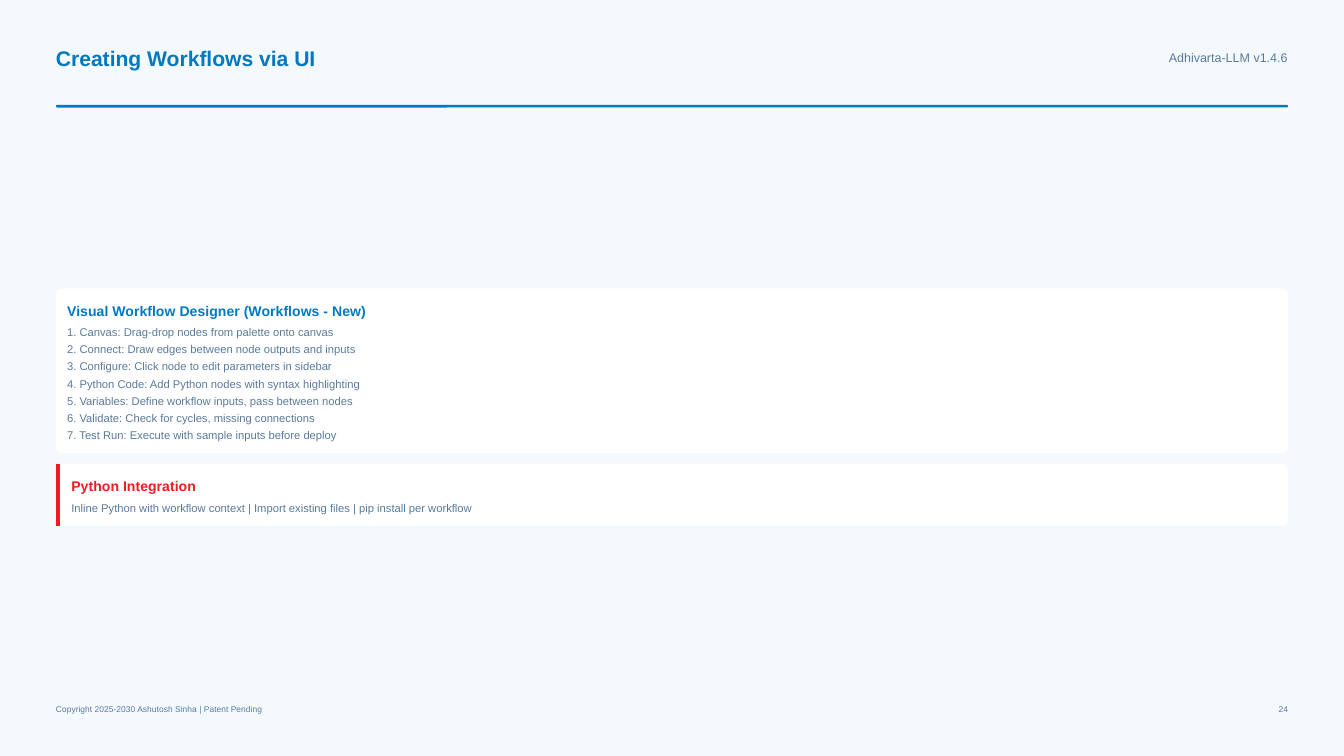
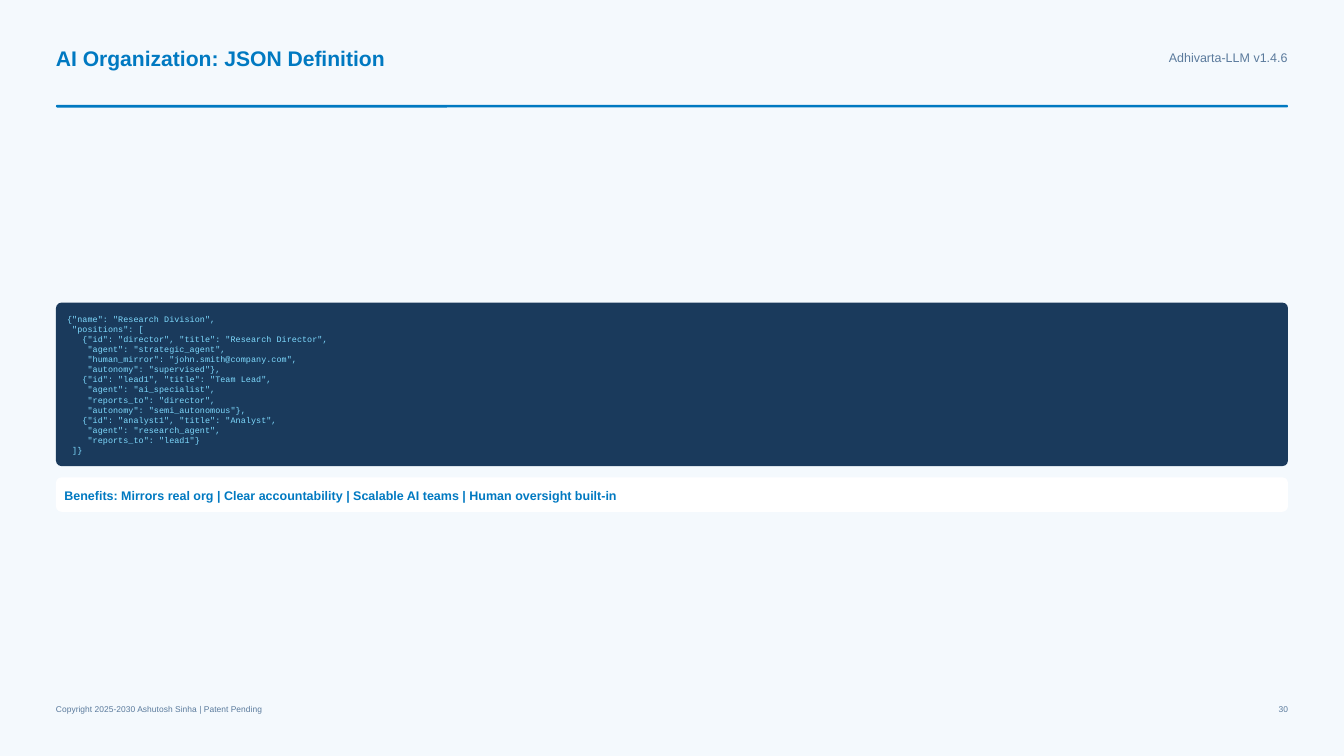
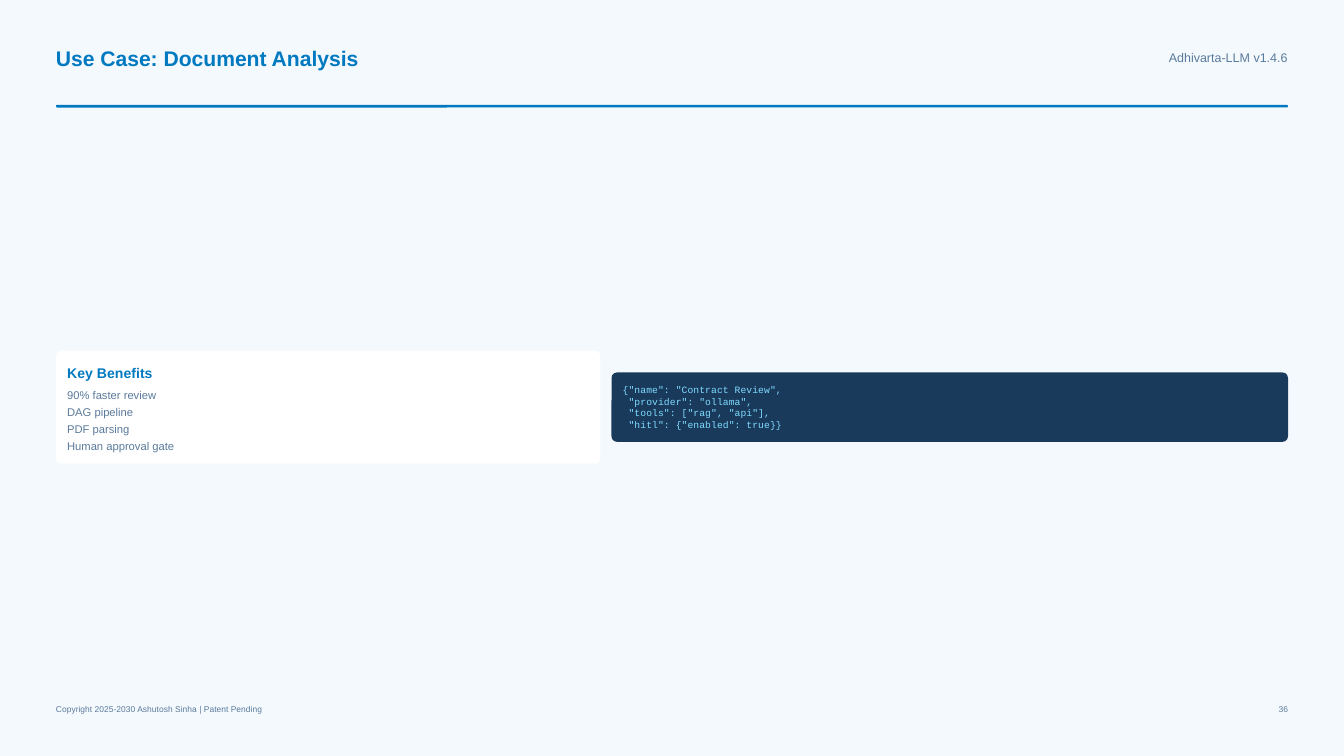
"""Build three guide slides with centred columns of cards and code panels."""
from dataclasses import dataclass

from lxml import etree
from pptx import Presentation
from pptx import util as u
from pptx.dml.color import RGBColor
from pptx.enum import shapes, text
from pptx.oxml import ns

BLUE, RED, SLATE, NAVY = "0079C1", "ED1C24", "5A7A9C", "1A3A5C"
WHITE, PALE, CYAN = "FFFFFF", "F4F9FD", "7FDBFF"
PAGE_WIDTH = 10
PAGE_HEIGHT = PAGE_WIDTH * 9 / 16
LEFT = 5 / 12
WIDTH = PAGE_WIDTH - 2 * LEFT
MIDDLE = 3.03
GAP = PAD = 1 / 12
RADIUS = 1 / 24
ACCENT = 1 / 32
NARROW = 4.05


@dataclass(frozen=True)
class Style:
    """Look of a line of text, in points."""
    size: float
    leading: float
    color: str = SLATE
    bold: bool = False
    font: str = "Arial"


@dataclass(frozen=True)
class Line:
    """One paragraph and the space above it."""
    words: str
    style: Style
    before: float = 0


@dataclass(frozen=True)
class Panel:
    """A rounded box that is as tall as its lines."""
    lines: list[Line]
    fill: str = WHITE
    pad: float = PAD
    accent: str = ""

    @property
    def height(self) -> float:
        """Height in inches."""
        points = sum(n.style.leading + n.before for n in self.lines)
        return points / 72 + 2 * self.pad


@dataclass(frozen=True)
class Column:
    """Panels stacked about the middle of the content area."""
    left: float
    width: float
    panels: list[Panel]


@dataclass(frozen=True)
class Page:
    """Title, number and columns of a slide."""
    title: str
    number: int
    columns: list[Column]


TITLE = Style(11.25, 15.75, BLUE, True)
VERSION = Style(6.75, 9.45)
NOTE = Style(6.75, 9.45, BLUE, True)
BODY = Style(6, 8.4)
FOOTER = Style(4.5, 6.3)
SMALL_CODE = Style(4.5, 5.4, CYAN, font="Courier New")
CODE = Style(5.25, 6.3, CYAN, font="Courier New")


def rgb(value: str) -> RGBColor:
    """Turn a hex string into a colour."""
    return RGBColor.from_string(value)


def card(heading: str, items: list[str], color: str = BLUE, accent: str = "") -> Panel:
    """Make a white panel with a heading and its items."""
    lines = [Line(heading, Style(7.5, 10.5, color, True))]
    lines += [Line(item, BODY, 0.75 if i else 2.25) for i, item in enumerate(items)]
    return Panel(lines, accent=accent)


def code(listing: str, style: Style) -> Panel:
    """Make a dark panel with a code listing."""
    return Panel([Line(row, style) for row in listing.splitlines()], NAVY)


def add_text(s, left: float, top: float, width: float, height: float,
             lines: list[Line], align=text.PP_ALIGN.LEFT) -> None:
    """Write lines in a text box without margins."""
    tf = s.shapes.add_textbox(*map(u.Inches, (left, top, width, height))).text_frame
    margins = dict.fromkeys(("margin_left", "margin_top", "margin_right", "margin_bottom"), 0)
    for name, value in {"word_wrap": True, **margins}.items():
        setattr(tf, name, value)
    for i, line in enumerate(lines):
        p = tf.add_paragraph() if i else tf.paragraphs[0]
        style = line.style
        spacing = {"alignment": align, "line_spacing": u.Pt(style.leading)}
        if line.before:
            spacing["space_before"] = u.Pt(line.before)
        for name, value in spacing.items():
            setattr(p, name, value)
        r = p.add_run()
        r.text = line.words
        for name, value in {"name": style.font, "size": u.Pt(style.size), "bold": style.bold}.items():
            setattr(r.font, name, value)
        r.font.color.rgb = rgb(style.color)


def add_box(s, left: float, top: float, width: float, height: float, fill: str) -> None:
    """Draw a rounded rectangle with the shared corner radius."""
    sp = s.shapes.add_shape(shapes.MSO_SHAPE.ROUNDED_RECTANGLE,
                            *map(u.Inches, (left, top, width, height)))
    sp.adjustments[0] = min(0.5, RADIUS / min(width, height))
    sp.shadow.inherit = False
    sp.fill.solid()
    sp.fill.fore_color.rgb = rgb(fill)
    sp.line.fill.background()


def add_accent(s, left: float, top: float, height: float, color: str) -> None:
    """Draw a thick line along the left edge of a panel."""
    x = left + ACCENT / 2
    cx = s.shapes.add_connector(shapes.MSO_CONNECTOR.STRAIGHT,
                                *map(u.Inches, (x, top, x, top + height)))
    cx.line.color.rgb = rgb(color)
    cx.line.width = u.Inches(ACCENT)
    etree.SubElement(cx._element.spPr, ns.qn("a:effectLst"))


def add_panel(s, panel: Panel, left: float, top: float, width: float) -> None:
    """Draw a panel and its text."""
    add_box(s, left, top, width, panel.height, panel.fill)
    inset = panel.pad
    if panel.accent:
        add_accent(s, left, top, panel.height, panel.accent)
        inset += ACCENT
    add_text(s, left + inset, top + panel.pad, width - inset - panel.pad,
             panel.height - 2 * panel.pad, panel.lines)


def add_column(s, column: Column) -> None:
    """Stack panels about the middle line."""
    total = sum(p.height for p in column.panels) + GAP * (len(column.panels) - 1)
    top = MIDDLE - total / 2
    for panel in column.panels:
        add_panel(s, panel, column.left, top, column.width)
        top += panel.height + GAP


def add_frame(s, page: Page) -> None:
    """Draw the background, header and footer."""
    right = LEFT + WIDTH
    s.background.fill.solid()
    s.background.fill.fore_color.rgb = rgb(PALE)
    add_text(s, LEFT, 0.31, 2.6, 0.22, [Line(page.title, TITLE)])
    add_text(s, right - 0.91, 0.35, 0.91, 0.13, [Line("Adhivarta-LLM v1.4.6", VERSION)],
             text.PP_ALIGN.RIGHT)
    add_box(s, LEFT, 0.78, WIDTH, 0.02, BLUE)
    add_text(s, LEFT, 5.23, 1.6, 0.09,
             [Line("Copyright 2025-2030 Ashutosh Sinha | Patent Pending", FOOTER)])
    add_text(s, right - 0.1, 5.23, 0.1, 0.09, [Line(str(page.number), FOOTER)],
             text.PP_ALIGN.RIGHT)


ORGANIZATION = """{"name": "Research Division",
 "positions": [
   {"id": "director", "title": "Research Director",
    "agent": "strategic_agent",
    "human_mirror": "john.smith@company.com",
    "autonomy": "supervised"},
   {"id": "lead1", "title": "Team Lead",
    "agent": "ai_specialist",
    "reports_to": "director",
    "autonomy": "semi_autonomous"},
   {"id": "analyst1", "title": "Analyst",
    "agent": "research_agent",
    "reports_to": "lead1"}
 ]}"""

CONTRACT = """{"name": "Contract Review",
 "provider": "ollama",
 "tools": ["rag", "api"],
 "hitl": {"enabled": true}}"""

BENEFITS = ("Benefits: Mirrors real org | Clear accountability | "
            "Scalable AI teams | Human oversight built-in")

PAGES = [
    Page("Creating Workflows via UI", 24, [Column(LEFT, WIDTH, [
        card("Visual Workflow Designer (Workflows - New)", [
            "1. Canvas: Drag-drop nodes from palette onto canvas",
            "2. Connect: Draw edges between node outputs and inputs",
            "3. Configure: Click node to edit parameters in sidebar",
            "4. Python Code: Add Python nodes with syntax highlighting",
            "5. Variables: Define workflow inputs, pass between nodes",
            "6. Validate: Check for cycles, missing connections",
            "7. Test Run: Execute with sample inputs before deploy",
        ]),
        card("Python Integration", [
            "Inline Python with workflow context | Import existing files | pip install per workflow",
        ], RED, RED),
    ])]),
    Page("AI Organization: JSON Definition", 30, [Column(LEFT, WIDTH, [
        code(ORGANIZATION, SMALL_CODE),
        Panel([Line(BENEFITS, NOTE)], pad=1 / 16),
    ])]),
    Page("Use Case: Document Analysis", 36, [
        Column(LEFT, NARROW, [card("Key Benefits", [
            "90% faster review", "DAG pipeline", "PDF parsing", "Human approval gate",
        ])]),
        Column(LEFT + NARROW + GAP, WIDTH - NARROW - GAP, [code(CONTRACT, CODE)]),
    ]),
]


def main() -> None:
    """Build and save the slides."""
    prs = Presentation()
    prs.slide_width, prs.slide_height = u.Inches(PAGE_WIDTH), u.Inches(PAGE_HEIGHT)
    for page in PAGES:
        s = prs.slides.add_slide(prs.slide_layouts[6])
        add_frame(s, page)
        for column in page.columns:
            add_column(s, column)
    prs.save("out.pptx")


if __name__ == "__main__":
    main()
